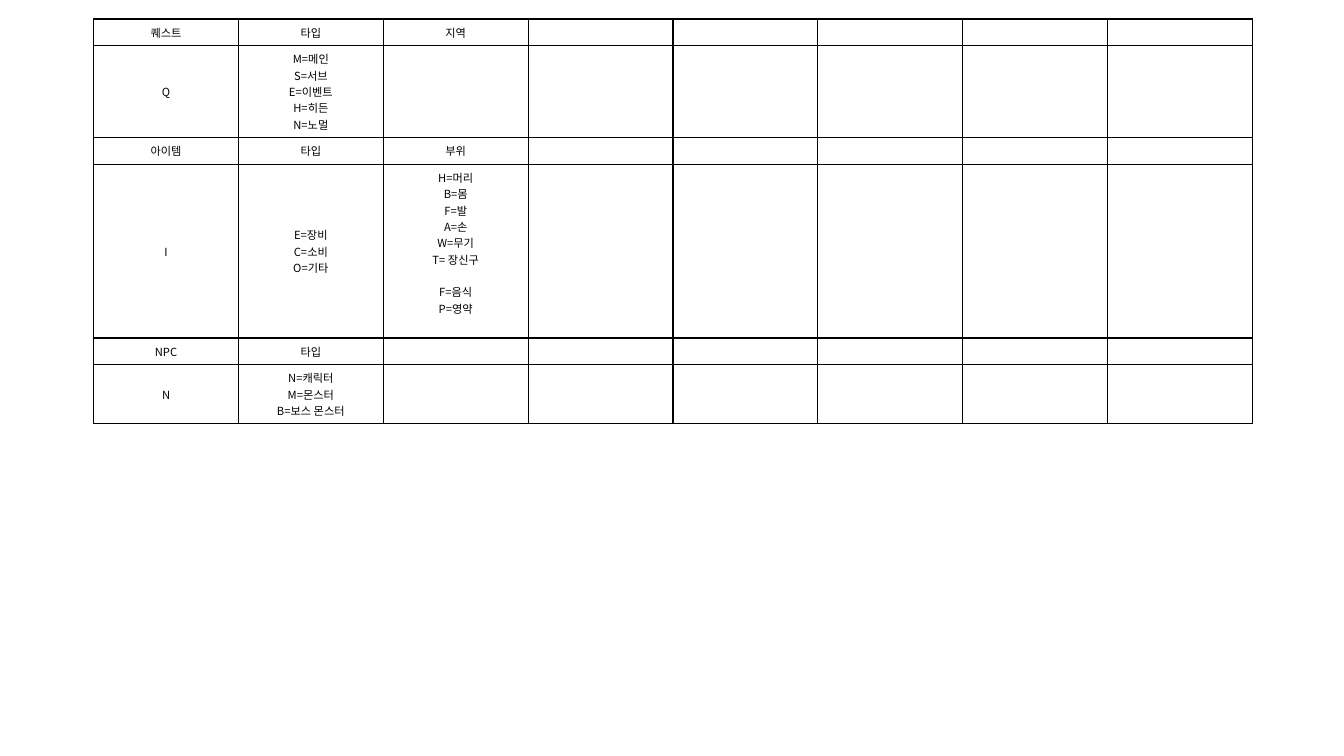
"""Build the slide with the code table for quests, items and NPCs."""
import dataclasses

import lxml.etree
import pptx
import pptx.dml.color
import pptx.enum.text
import pptx.oxml.ns
import pptx.table
import pptx.text.text
import pptx.util

Cm = pptx.util.Cm
Pt = pptx.util.Pt


@dataclasses.dataclass(frozen=True)
class Theme:
    ink: str = "000000"
    font: str = "Noto Sans CJK KR"
    size: float = 8
    line_height: float = 11.65
    border: float = 1


@dataclasses.dataclass(frozen=True)
class Entry:
    lines: tuple[str, ...] = ()
    gap_before: str = ""
    bottom_margin: float = 0.13


@dataclasses.dataclass(frozen=True)
class Group:
    headings: tuple[str, ...]
    entries: tuple[Entry, ...]
    height: float


THEME = Theme()
COLUMNS = 8
COLUMN_WIDTH = 3.65
HEADING_HEIGHT = 0.66
LEFT, TOP = 2.36, 0.48

GROUPS = (
    Group(
        ("퀘스트", "타입", "지역"),
        (Entry(("Q",)), Entry(("M=메인", "S=서브", "E=이벤트", "H=히든", "N=노멀"))),
        2.32,
    ),
    Group(
        ("아이템", "타입", "부위"),
        (
            Entry(("I",)),
            Entry(("E=장비", "C=소비", "O=기타")),
            Entry(
                ("H=머리", "B=몸", "F=발", "A=손", "W=무기", "T= 장신구", "F=음식", "P=영약"),
                gap_before="F=음식",
                bottom_margin=0.54,
            ),
        ),
        4.38,
    ),
    Group(
        ("NPC", "타입"),
        (Entry(("N",)), Entry(("N=캐릭터", "M=몬스터", "B=보스 몬스터"))),
        1.49,
    ),
)


def add_child(parent: lxml.etree._Element, tag: str, **attributes: str) -> lxml.etree._Element:
    """Append a drawing element with the given attributes."""
    return lxml.etree.SubElement(parent, pptx.oxml.ns.qn(tag), attributes)


def write_text(
    para: pptx.text.text._Paragraph,
    text: str,
    *,
    size: float = THEME.size,
    font: str = THEME.font,
    color: str = THEME.ink,
    space_before: float = 0,
) -> None:
    """Write one centred line in the given format."""
    para.alignment = pptx.enum.text.PP_ALIGN.CENTER
    para.space_before = Pt(space_before)
    if not text:
        add_child(para._p, "a:endParaRPr", sz=str(round(size * 100)))
        return
    span = para.add_run()
    span.text = text
    span.font.size = Pt(size)
    span.font.name = font
    span.font.color.rgb = pptx.dml.color.RGBColor.from_string(color)
    add_child(span.font._element, "a:ea", typeface=font)


def draw_borders(cell: pptx.table._Cell) -> None:
    """Draw a solid line on every side of a cell."""
    properties = cell._tc.get_or_add_tcPr()
    for side in ("a:lnL", "a:lnR", "a:lnT", "a:lnB"):
        line = add_child(properties, side, w=str(Pt(THEME.border)))
        add_child(add_child(line, "a:solidFill"), "a:srgbClr", val=THEME.ink)


def fill_cell(cell: pptx.table._Cell, entry: Entry) -> None:
    """Format a cell and write the lines of its entry."""
    draw_borders(cell)
    cell.fill.background()
    cell.vertical_anchor = pptx.enum.text.MSO_ANCHOR.MIDDLE
    cell.margin_bottom = Cm(entry.bottom_margin)
    frame = cell.text_frame
    for index, text in enumerate(entry.lines or ("",)):
        para = frame.add_paragraph() if index else frame.paragraphs[0]
        gap = THEME.line_height if text and text == entry.gap_before else 0
        write_text(para, text, space_before=gap)


def fill_row(table: pptx.table.Table, row: int, height: float, entries: tuple[Entry, ...]) -> None:
    """Fill a table row, leaving the columns after its entries empty."""
    table.rows[row].height = Cm(height)
    for column in range(COLUMNS):
        fill_cell(table.cell(row, column), entries[column] if column < len(entries) else Entry())


def add_code_table(page: pptx.slide.Slide) -> None:
    """Add the table with a heading row and a code row for each group."""
    height = sum(HEADING_HEIGHT + group.height for group in GROUPS)
    table = page.shapes.add_table(
        2 * len(GROUPS), COLUMNS, Cm(LEFT), Cm(TOP), Cm(COLUMNS * COLUMN_WIDTH), Cm(height)
    ).table
    table.first_row = False
    table.horz_banding = False
    for column in table.columns:
        column.width = Cm(COLUMN_WIDTH)
    for index, group in enumerate(GROUPS):
        headings = tuple(Entry((heading,)) for heading in group.headings)
        fill_row(table, 2 * index, HEADING_HEIGHT, headings)
        fill_row(table, 2 * index + 1, group.height, group.entries)


deck = pptx.Presentation()
deck.slide_width = Cm(33.87)
deck.slide_height = Cm(19.05)
add_code_table(deck.slides.add_slide(deck.slide_layouts[6]))
deck.save("out.pptx")
